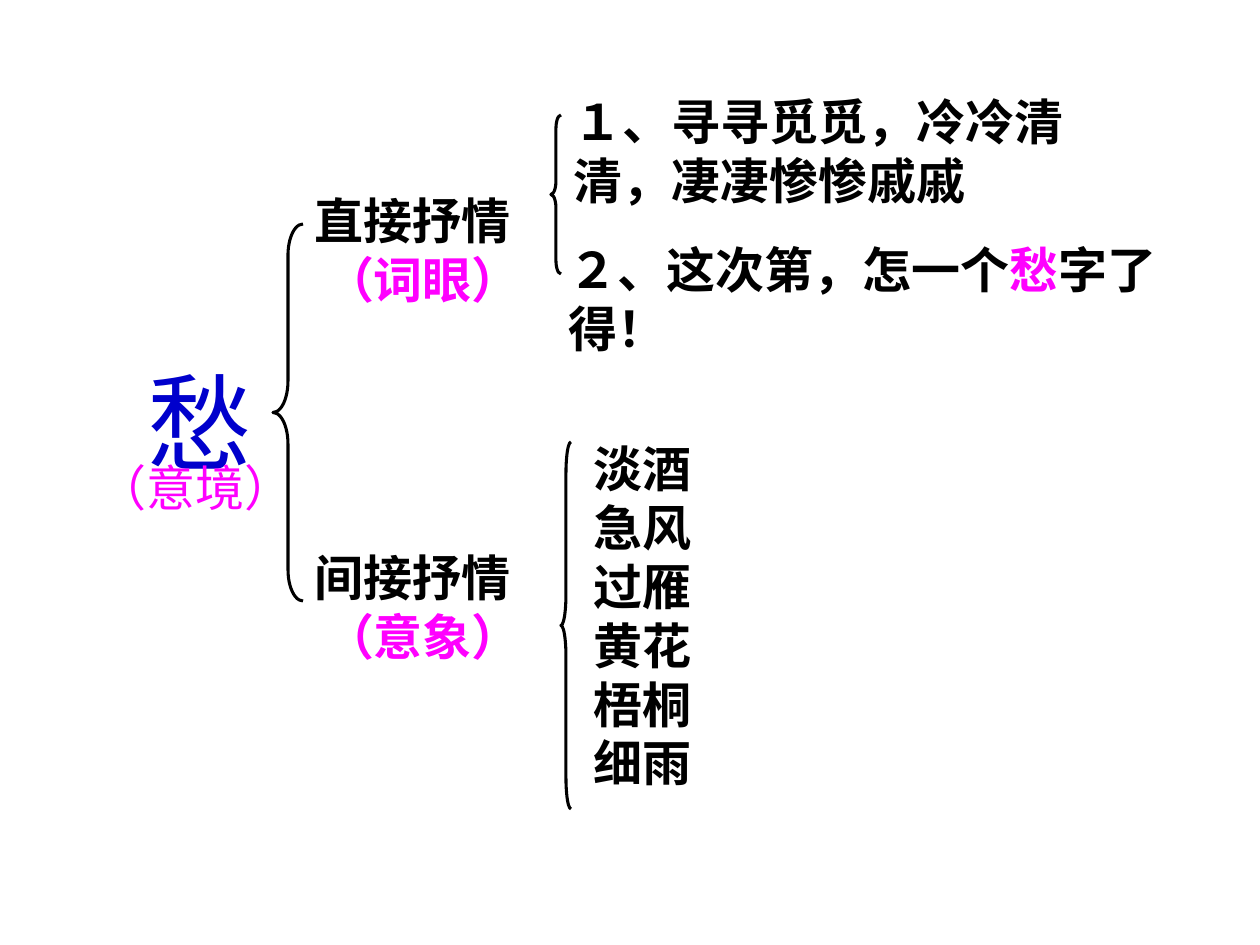
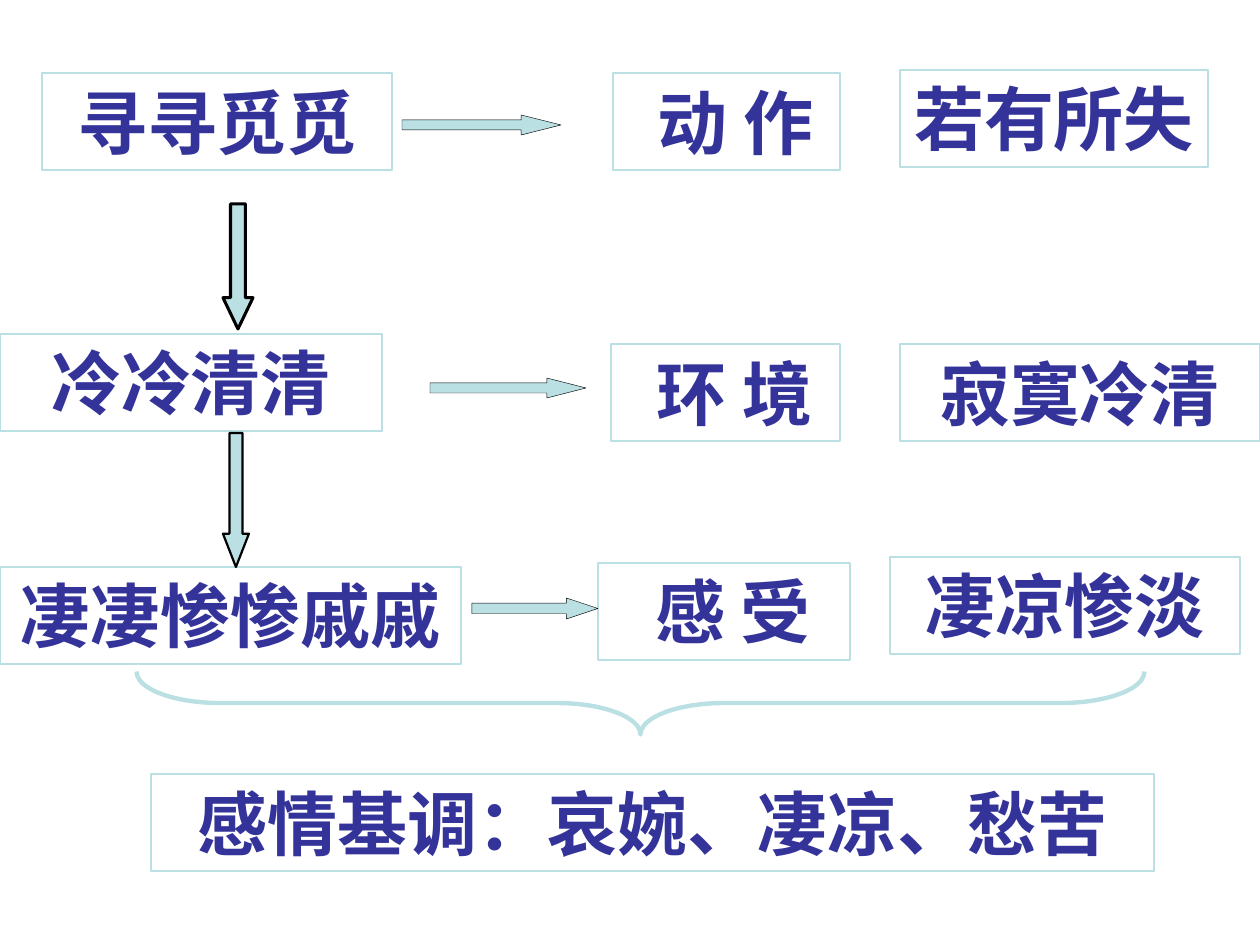
from pptx import Presentation
from pptx.dml.color import RGBColor
from pptx.enum.shapes import MSO_SHAPE
from pptx.enum.text import MSO_ANCHOR, PP_ALIGN
from pptx.util import Emu, Pt

RECT = MSO_SHAPE.RECTANGLE
BRACE = MSO_SHAPE.LEFT_BRACE
DOWN = MSO_SHAPE.DOWN_ARROW
RIGHT = MSO_SHAPE.RIGHT_ARROW
LEFT_ALIGN, CENTER = PP_ALIGN.LEFT, PP_ALIGN.CENTER
TOP = MSO_ANCHOR.TOP
BLANK_LAYOUT = 6

LATIN, CJK = "Arial", "Noto Sans CJK SC"
BLACK, MAGENTA, BLUE = "000000", "FF00FF", "0000CC"
INDIGO, AQUA = "333399", "BBE0E3"


def px(n):
    """Turn pixels into EMU."""
    return Emu(round(n * 914400 / 126))


def color(text):
    """Turn a hex string into a colour."""
    return RGBColor.from_string(text)


def write(sp, lines, size, bold=True, align=LEFT_ALIGN, insets=(13, 6, 13, 6)):
    """Fill a shape with lines, each a list of (text, colour) runs."""
    tf = sp.text_frame
    tf.word_wrap = True
    tf.vertical_anchor = TOP
    left, top, right, bottom = insets
    tf.margin_left, tf.margin_top = px(left), px(top)
    tf.margin_right, tf.margin_bottom = px(right), px(bottom)
    for i, runs in enumerate(lines):
        p = tf.add_paragraph() if i else tf.paragraphs[0]
        p.alignment = align
        p.line_spacing = Pt(size * 1.2)
        for text, tint in runs:
            r = p.add_run()
            r.text = text
            r.font.size = Pt(size)
            r.font.bold = bold
            r.font.name = LATIN
            r.font.color.rgb = color(tint)
            rpr = r.font._element
            rpr.set("lang", "zh-CN")
            latin = rpr.find("{*}latin")
            latin.addnext(rpr.makeelement(latin.tag.replace("latin", "ea"), {"typeface": CJK}))


def add_text(s, box, lines, size=28, **style):
    """Add a text box."""
    sp = s.shapes.add_textbox(*map(px, box))
    write(sp, lines, size, **style)
    return sp


def add_outline(s, kind, box, line, weight, fill=None, adjust=()):
    """Add a flat preset shape with an outline and an optional fill."""
    sp = s.shapes.add_shape(kind, *map(px, box))
    sp.shadow.inherit = False
    sp.line.color.rgb = color(line)
    sp.line.width = Pt(weight)
    if fill:
        sp.fill.solid()
        sp.fill.fore_color.rgb = color(fill)
    else:
        sp.fill.background()
    for i, value in enumerate(adjust):
        sp.adjustments[i] = value
    return sp


def add_theme(s, x, y):
    """Place the central word and its note."""
    sp = add_text(s, (x, y, 151, 139), [[("愁", BLUE)]], 60,
                  bold=False, insets=(6, 16, 7, 13))
    sp.text_frame._txBody.bodyPr.set("vert", "eaVert")
    add_text(s, (x - 30, y + 98, 307, 72), [[("（意境）", MAGENTA)]], bold=False)


def add_branch(s, x, y, name, note):
    """Place a branch name with its note below."""
    add_text(s, (x, y, 267, 72), [[(name, BLACK)]])
    add_text(s, (x + 10, y + 59, 235, 72), [[(note, MAGENTA)]])


def build_theme_slide(prs):
    """Build the tree from the theme to its lines and images."""
    s = prs.slides.add_slide(prs.slide_layouts[BLANK_LAYOUT])
    add_theme(s, 115, 354)
    add_branch(s, 302, 185, "直接抒情", "（词眼）")
    add_branch(s, 302, 542, "间接抒情", "（意象）")
    add_text(s, (561, 86, 517, 131),
             [[("１、寻寻觅觅，冷冷清清，凄凄惨惨戚戚", BLACK)]])
    add_text(s, (556, 234, 704, 72),
             [[("２、这次第，怎一个", BLACK), ("愁", MAGENTA), ("字了得！", BLACK)]],
             insets=(13, 6, 70, 6))
    images = ("淡酒", "急风", "过雁", "黄花", "梧桐", "细雨")
    add_text(s, (581, 433, 140, 365), [[(image, BLACK)] for image in images])
    for box, curve in (((273, 224, 30, 377), 1.04),
                       ((551, 115, 10, 159), 1.33),
                       ((561, 442, 10, 367), 3.06)):
        add_outline(s, BRACE, box, BLACK, 1.75, adjust=(curve, 0.5))


def add_card(s, x, y, w, text, shift=0):
    """Place an outlined card, its text shifted right by an inset."""
    sp = add_outline(s, RECT, (x, y, w, 97), AQUA, 0.75)
    write(sp, [[(text, INDIGO)]], 40, align=CENTER, insets=(13 + shift, 6, 13, 6))


def add_row(s, phrase, aspect, mood, arrow):
    """Place a phrase, its arrow, the aspect it shows and its mood."""
    add_card(s, *phrase)
    add_card(s, *aspect, shift=18)
    add_card(s, *mood)
    *box, head = arrow
    add_outline(s, RIGHT, box, BLACK, 0.25, AQUA, (0.5, head))


def build_mood_slide(prs):
    """Build the three rows and the mood they add up to."""
    s = prs.slides.add_slide(prs.slide_layouts[BLANK_LAYOUT])
    add_row(s, (42, 73, 350, "寻寻觅觅"), (613, 73, 227, "动 作"),
            (900, 70, 308, "若有所失"), (402, 115, 159, 20, 1.99))
    add_row(s, (0, 334, 382, "冷冷清清"), (611, 344, 229, "环 境"),
            (900, 344, 360, "寂寞冷清"), (430, 378, 156, 20, 1.96))
    add_row(s, (0, 567, 461, "凄凄惨惨戚戚"), (598, 563, 252, "感 受"),
            (890, 557, 350, "凄凉惨淡"), (472, 598, 126, 21, 1.5))
    add_card(s, 151, 774, 1003, "感情基调：哀婉、凄凉、愁苦")
    for box, weight, head in (((223, 204, 30, 125), 1.75, 1.04),
                              ((223, 433, 26, 134), 1.25, 1.28)):
        add_outline(s, DOWN, box, BLACK, weight, AQUA, (0.5, head))
    sp = add_outline(s, BRACE, (609, 199, 63, 1008), AQUA, 2.5, adjust=(1.33, 0.5))
    sp.rotation = 270


def main():
    """Build both slides and save them."""
    prs = Presentation()
    prs.slide_width, prs.slide_height = px(1260), px(945)
    build_theme_slide(prs)
    build_mood_slide(prs)
    prs.save("out.pptx")


if __name__ == "__main__":
    main()
